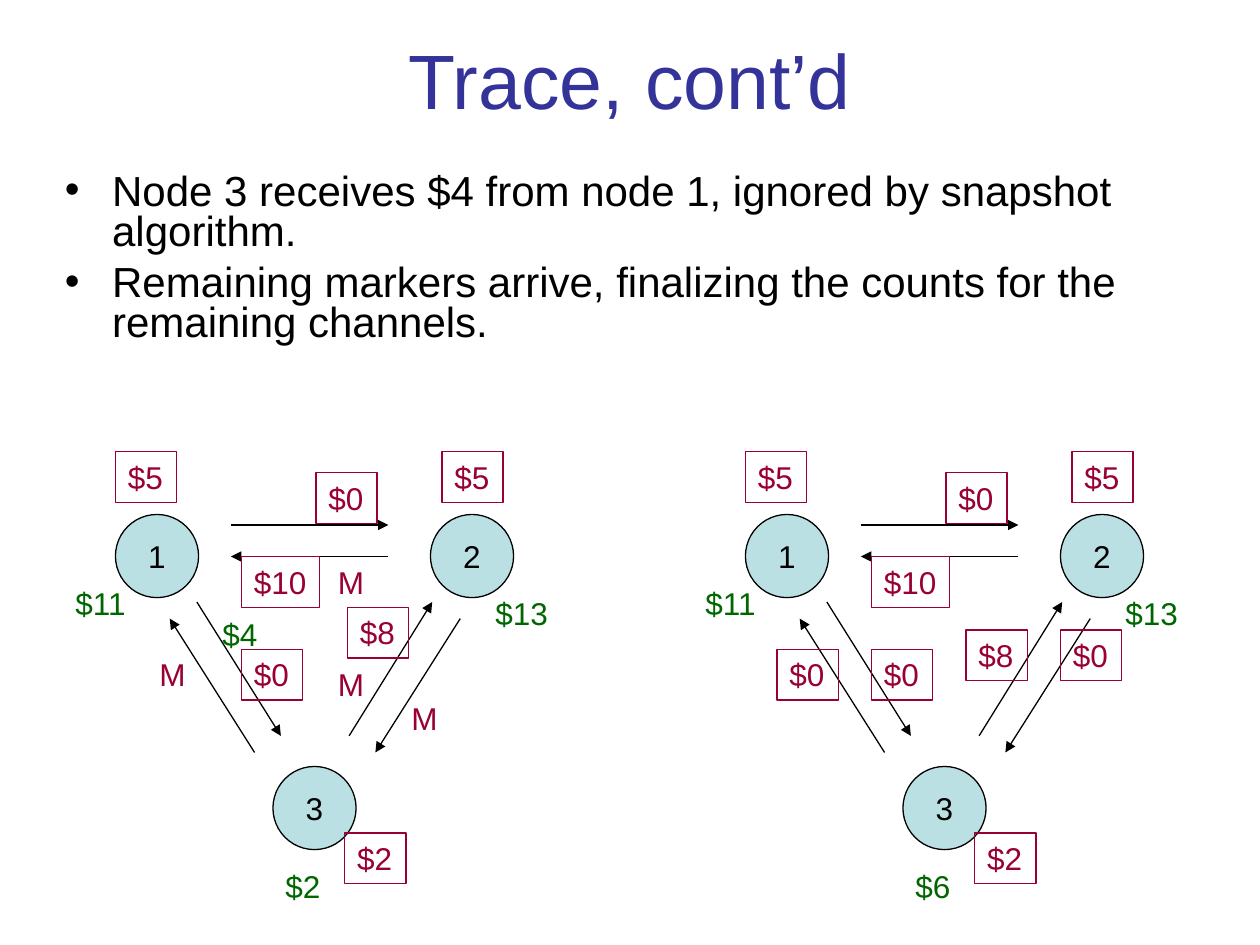
"""Build a slide tracing a snapshot over three nodes in two states."""
from typing import NamedTuple

from lxml.etree import SubElement
from pptx import Presentation
from pptx.dml.color import RGBColor
from pptx.enum.shapes import MSO_CONNECTOR as Link, MSO_SHAPE as Kind
from pptx.enum.text import MSO_ANCHOR as Anchor, MSO_AUTO_SIZE as Fit, PP_ALIGN as Align
from pptx.oxml.ns import qn
from pptx.util import Pt

BLACK = RGBColor(0x00, 0x00, 0x00)
NAVY = RGBColor(0x33, 0x33, 0x99)
WINE = RGBColor(0x99, 0x00, 0x33)
GREEN = RGBColor(0x00, 0x66, 0x00)
AQUA = RGBColor(0xBB, 0xE0, 0xE3)

DISC = 47.5
THIN = 0.75
WIDTHS = {"M": 29.5, "$10": 44.5, "$11": 44.5, "$13": 44.5}


class Node(NamedTuple):
    name: str
    x: float
    y: float


class Arrow(NamedTuple):
    x1: float
    y1: float
    x2: float
    y2: float


class Tag(NamedTuple):
    text: str
    x: float
    y: float
    color: RGBColor = WINE
    boxed: bool = True


class Panel(NamedTuple):
    left: float
    tags: list[Tag]


NODES = [Node("1", 66, 294), Node("3", 156, 438), Node("2", 246, 294)]
ARROWS = [
    Arrow(132, 300, 222, 300),
    Arrow(222, 318, 132, 318),
    Arrow(199.5, 420.5, 247, 344),
    Arrow(263, 353.5, 214.5, 430),
    Arrow(112.5, 344, 160.5, 420.5),
    Arrow(145.5, 430, 97, 353.5),
]
SHARED = [
    Tag("$5", 66, 258),
    Tag("$5", 252.5, 258),
    Tag("$0", 180.5, 270),
    Tag("$10", 138, 318),
    Tag("$0", 138, 371),
    Tag("$2", 197, 476),
    Tag("$11", 36, 330, GREEN, False),
    Tag("$13", 276, 336, GREEN, False),
]
PANELS = [
    Panel(0, [
        Tag("$8", 198.5, 347),
        Tag("$4", 120, 348, GREEN, False),
        Tag("$2", 156, 492, GREEN, False),
        Tag("M", 186, 318, WINE, False),
        Tag("M", 84, 371, WINE, False),
        Tag("M", 186, 376.5, WINE, False),
        Tag("M", 228, 396, WINE, False),
    ]),
    Panel(360, [
        Tag("$8", 192, 360),
        Tag("$0", 246, 360),
        Tag("$0", 84, 371),
        Tag("$6", 156, 492, GREEN, False),
    ]),
]
POINTS = [
    "Node 3 receives $4 from node 1, ignored by snapshot algorithm.",
    "Remaining markers arrive, finalizing the counts for the remaining channels.",
]


def style(frame, size: float, color: RGBColor, align: Align = Align.LEFT) -> None:
    for para in frame.paragraphs:
        para.alignment = align
        for run in para.runs:
            run.font.name = "Arial"
            run.font.size = Pt(size)
            run.font.color.rgb = color


def draw_title(shapes) -> None:
    frame = shapes.add_textbox(Pt(36), Pt(0), Pt(648), Pt(90)).text_frame
    frame.word_wrap = True
    frame.vertical_anchor = Anchor.MIDDLE
    frame.text = "Trace, cont’d"
    style(frame, 44, NAVY, Align.CENTER)


def draw_body(shapes) -> None:
    frame = shapes.add_textbox(Pt(30), Pt(96), Pt(672), Pt(156)).text_frame
    frame.word_wrap = True
    frame.text = "\n".join(POINTS)
    style(frame, 24, BLACK)
    for para in frame.paragraphs:
        para.line_spacing = 0.8
        para.space_before = Pt(6)
        props = para._p.get_or_add_pPr()
        props.set("marL", str(Pt(27)))
        props.set("indent", str(Pt(-27)))
        SubElement(props, qn("a:buFont"), typeface="Arial")
        SubElement(props, qn("a:buChar"), char="•")


def draw_node(shapes, node: Node, left: float) -> None:
    disc = shapes.add_shape(
        Kind.OVAL, Pt(left + node.x), Pt(node.y), Pt(DISC), Pt(DISC))
    disc.shadow.inherit = False
    disc.fill.solid()
    disc.fill.fore_color.rgb = AQUA
    disc.line.color.rgb = BLACK
    disc.line.width = Pt(THIN)
    frame = disc.text_frame
    frame.word_wrap = False
    frame.vertical_anchor = Anchor.MIDDLE
    frame.text = node.name
    style(frame, 18, BLACK, Align.CENTER)


def draw_arrow(shapes, arrow: Arrow, left: float) -> None:
    link = shapes.add_connector(
        Link.STRAIGHT, Pt(left + arrow.x1), Pt(arrow.y1),
        Pt(left + arrow.x2), Pt(arrow.y2))
    link.line.color.rgb = BLACK
    link.line.width = Pt(THIN)
    SubElement(link.line._get_or_add_ln(), qn("a:tailEnd"), type="triangle")
    SubElement(link._element.spPr, qn("a:effectLst"))


def draw_tag(shapes, tag: Tag, left: float) -> None:
    box = shapes.add_textbox(
        Pt(left + tag.x), Pt(tag.y), Pt(WIDTHS.get(tag.text, 35)), Pt(29))
    if tag.boxed:
        box.line.color.rgb = tag.color
        box.line.width = Pt(THIN)
    frame = box.text_frame
    frame.word_wrap = False
    frame.auto_size = Fit.SHAPE_TO_FIT_TEXT
    frame.text = tag.text
    style(frame, 18, tag.color)


def draw_panel(shapes, panel: Panel) -> None:
    group = shapes.add_group_shape().shapes
    for node in NODES:
        draw_node(group, node, panel.left)
    for arrow in ARROWS:
        draw_arrow(group, arrow, panel.left)
    for tag in SHARED + panel.tags:
        draw_tag(group, tag, panel.left)


def main() -> None:
    deck = Presentation()
    deck.slide_width, deck.slide_height = Pt(720), Pt(540)
    shapes = deck.slides.add_slide(deck.slide_layouts[6]).shapes
    draw_title(shapes)
    draw_body(shapes)
    for panel in PANELS:
        draw_panel(shapes, panel)
    deck.save("out.pptx")


if __name__ == "__main__":
    main()
